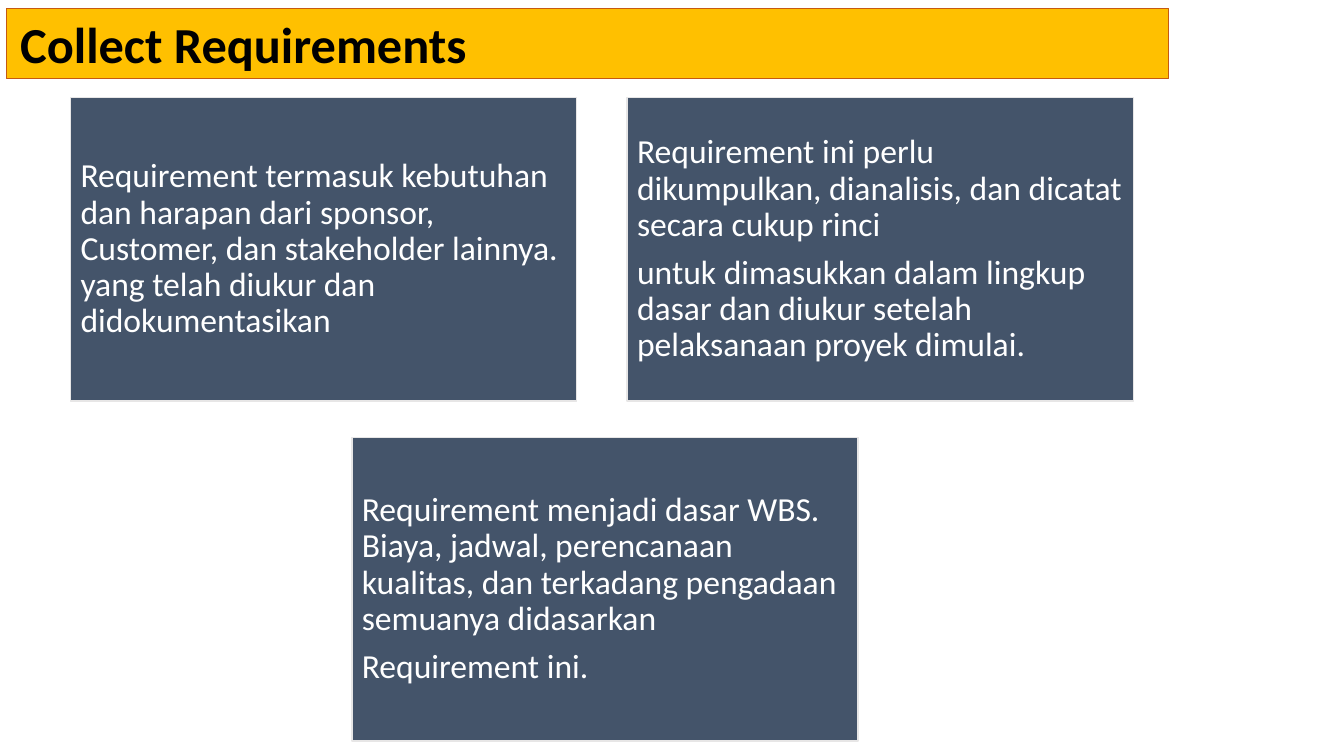
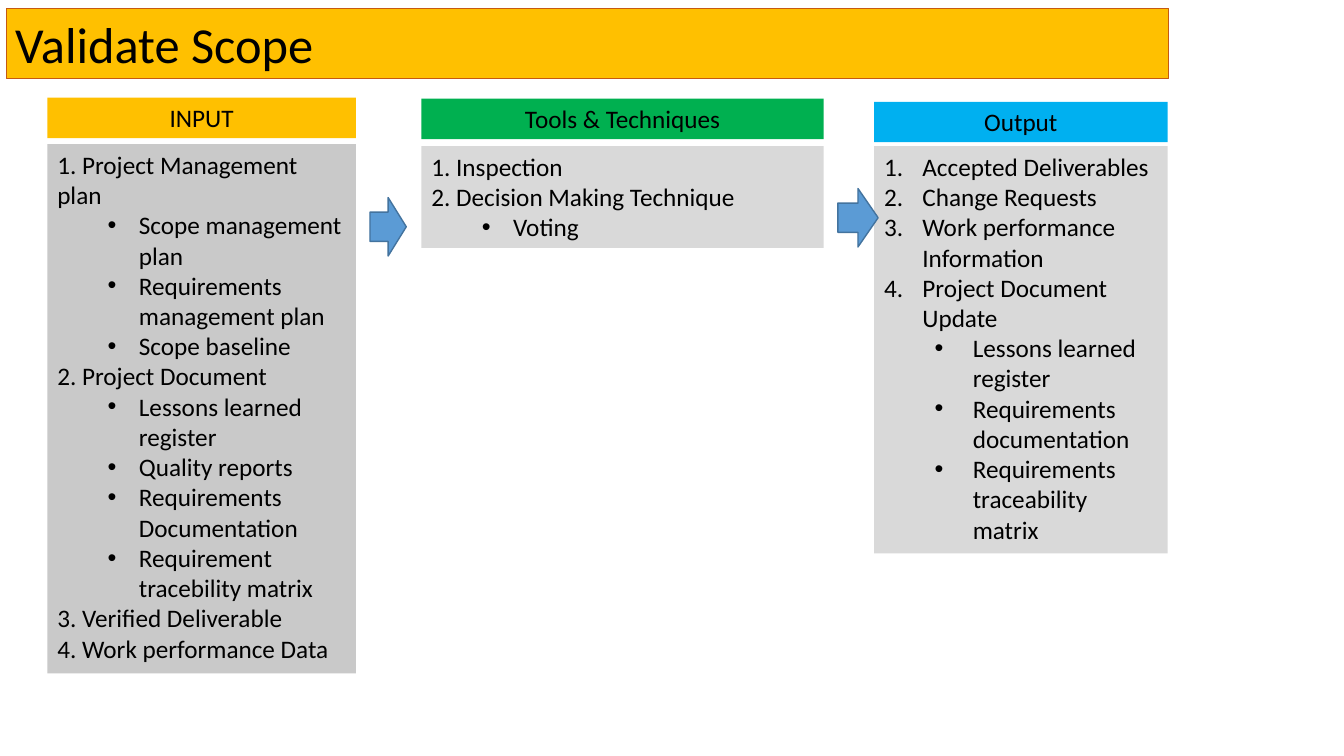
from lxml.etree import SubElement
from pptx import Presentation
from pptx.dml.color import RGBColor
from pptx.enum.shapes import MSO_SHAPE
from pptx.enum.text import MSO_ANCHOR, MSO_AUTO_SIZE, PP_ALIGN
from pptx.oxml.ns import qn
from pptx.util import Inches, Pt

BLACK = RGBColor(0x00, 0x00, 0x00)
WHITE = RGBColor(0xFF, 0xFF, 0xFF)
AMBER = RGBColor(0xFF, 0xC0, 0x00)
RUST = RGBColor(0xC5, 0x5A, 0x11)
SLATE = RGBColor(0x44, 0x54, 0x6A)
PALE = RGBColor(0xE7, 0xE6, 0xE6)
GREEN = RGBColor(0x00, 0xB0, 0x50)
SKY = RGBColor(0x00, 0xB0, 0xF0)
GREY = RGBColor(0xC9, 0xC9, 0xC9)
LIGHT_GREY = RGBColor(0xD9, 0xD9, 0xD9)
BLUE = RGBColor(0x5B, 0x9B, 0xD5)
DARK_BLUE = RGBColor(0x43, 0x73, 0x9E)
FONT = "Calibri"

deck = Presentation()
deck.slide_width = Inches(13.33)
deck.slide_height = Inches(7.5)


def add_titled_slide(text, bold, inset):
    slide = deck.slides.add_slide(deck.slide_layouts[5])
    title = slide.shapes.title
    title.left, title.top = Inches(0.06), Inches(0.08)
    title.width, title.height = Inches(11.53), Inches(0.7)
    title.fill.solid()
    title.fill.fore_color.rgb = AMBER
    title.line.color.rgb = RUST
    title.line.width = Pt(0.75)
    frame = title.text_frame
    frame.text = text
    frame.auto_size = MSO_AUTO_SIZE.NONE
    frame.vertical_anchor = MSO_ANCHOR.TOP
    frame.margin_left = Inches(inset)
    frame.paragraphs[0].alignment = PP_ALIGN.LEFT
    font = frame.paragraphs[0].runs[0].font
    font.name, font.size, font.bold = FONT, Pt(36), bold
    font.color.rgb = BLACK
    return slide


def add_block(slide, box, fill, lines=(), size=18, color=BLACK, outline=None,
              align=PP_ALIGN.LEFT, anchor=MSO_ANCHOR.TOP, preset=MSO_SHAPE.RECTANGLE):
    block = slide.shapes.add_shape(preset, *(Inches(v) for v in box))
    block.shadow.inherit = False
    block.fill.solid()
    block.fill.fore_color.rgb = fill
    if outline:
        block.line.color.rgb = outline
        block.line.width = Pt(1)
    else:
        block.line.fill.background()
    frame = block.text_frame
    frame.word_wrap = True
    frame.vertical_anchor = anchor
    if lines:
        frame.text = "\n".join(lines)
    for paragraph in frame.paragraphs:
        paragraph.alignment = align
        for run in paragraph.runs:
            run.font.name, run.font.size = FONT, Pt(size)
            run.font.color.rgb = color
    return frame


collect = add_titled_slide("Collect Requirements", True, 0.14)
requirement_cards = [
    (0.7, 0.97, [
        "Requirement termasuk kebutuhan dan harapan dari sponsor, Customer, "
        "dan stakeholder lainnya. yang telah diukur dan didokumentasikan"]),
    (6.22, 0.97, [
        "Requirement ini perlu dikumpulkan, dianalisis, dan dicatat secara cukup rinci",
        "untuk dimasukkan dalam lingkup dasar dan diukur setelah pelaksanaan proyek dimulai."]),
    (3.49, 4.34, [
        "Requirement menjadi dasar WBS. Biaya, jadwal, perencanaan kualitas, "
        "dan terkadang pengadaan semuanya didasarkan",
        "Requirement ini."]),
]
for left, top, lines in requirement_cards:
    card = add_block(collect, (left, top, 5.02, 3.01), SLATE, lines, 24, WHITE,
                     PALE, anchor=MSO_ANCHOR.MIDDLE)
    card.margin_left = card.margin_right = Inches(0.1)
    card.margin_top = card.margin_bottom = Inches(0.1)
    for paragraph in card.paragraphs:
        paragraph.line_spacing = 0.9
        paragraph.space_after = Pt(8.4)

validate = add_titled_slide("Validate Scope", False, 0.09)
process_columns = [
    ("INPUT", AMBER, GREY, 0.47, 3.06, 0.97, 1.43, 5.25, False, 0.81, 0.31, [
        (0, "1. Project Management plan"),
        (1, "Scope management plan"),
        (1, "Requirements management plan"),
        (1, "Scope baseline"),
        (0, "2. Project Document"),
        (1, "Lessons learned register"),
        (1, "Quality reports"),
        (1, "Requirements Documentation"),
        (1, "Requirement tracebility matrix"),
        (0, "3. Verified Deliverable"),
        (0, "4. Work performance Data")]),
    ("Tools & Techniques", GREEN, LIGHT_GREY, 4.18, 3.99, 0.98, 1.45, 1.01, False, 0.81, 0.31, [
        (0, "1. Inspection"),
        (0, "2. Decision Making Technique"),
        (1, "Voting")]),
    ("Output", SKY, LIGHT_GREY, 8.67, 2.91, 1.01, 1.45, 4.04, True, 0.88, 0.38, [
        (0, "Accepted Deliverables"),
        (0, "Change Requests"),
        (0, "Work performance Information"),
        (0, "Project Document Update"),
        (1, "Lessons learned register"),
        (1, "Requirements documentation"),
        (1, "Requirements traceability matrix")]),
]
for (heading, heading_fill, list_fill, left, width, heading_top, list_top, list_height,
     numbered, indent, hanging, items) in process_columns:
    add_block(validate, (left, heading_top, width, 0.4), heading_fill, [heading],
              align=PP_ALIGN.CENTER)
    listing = add_block(validate, (left, list_top, width, list_height), list_fill,
                        [text for _, text in items])
    for paragraph, (level, _) in zip(listing.paragraphs, items):
        paragraph.level = level
        if not level and not numbered:
            continue
        properties = paragraph._p.get_or_add_pPr()
        properties.set("marL", str(Inches(indent if level else hanging)))
        properties.set("indent", str(-Inches(hanging)))
        if level:
            SubElement(properties, qn("a:buFont"), typeface="Arial")
            SubElement(properties, qn("a:buChar"), char="•")
        else:
            SubElement(properties, qn("a:buFont"), typeface="+mj-lt")
            SubElement(properties, qn("a:buAutoNum"), type="arabicPeriod")

for box in [(3.67, 1.96, 0.36, 0.58), (8.31, 1.87, 0.4, 0.58)]:
    add_block(validate, box, BLUE, outline=DARK_BLUE, preset=MSO_SHAPE.RIGHT_ARROW)

deck.save("out.pptx")
